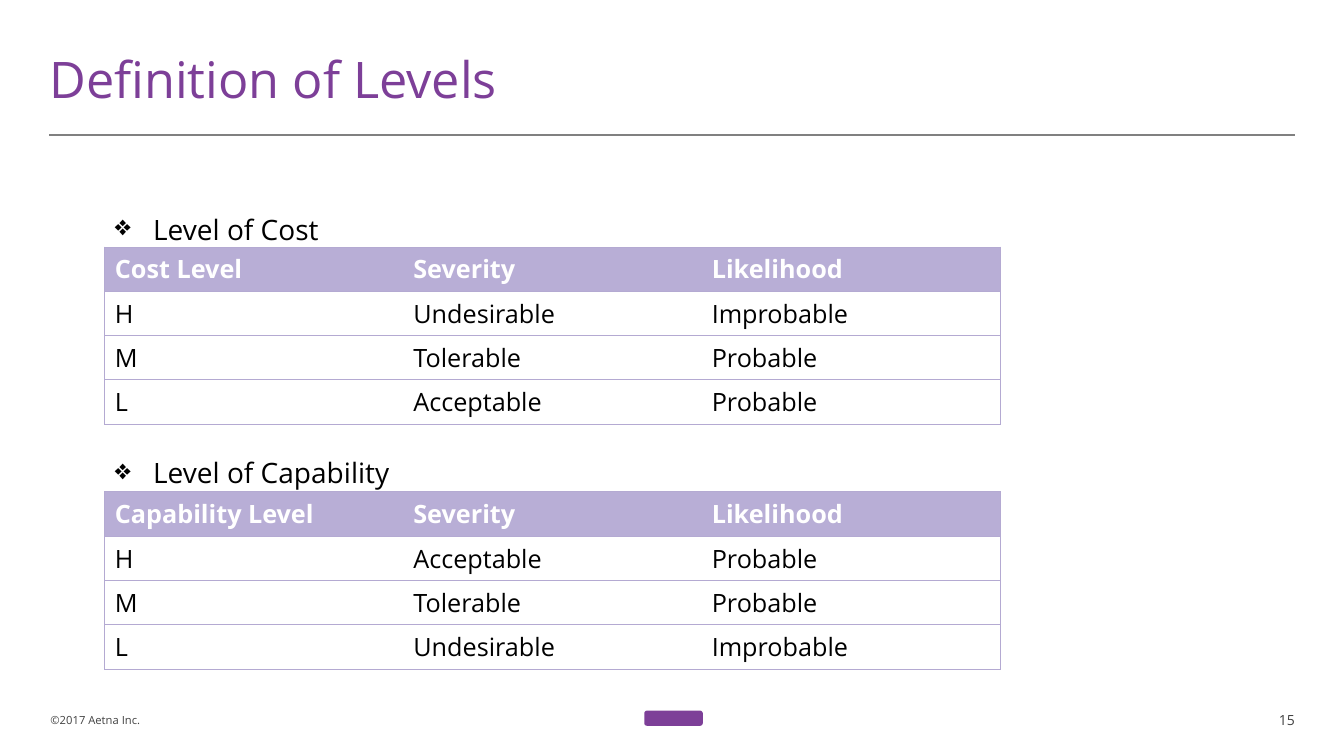
from lxml.etree import SubElement
from pptx import Presentation
from pptx.dml.color import RGBColor
from pptx.enum.shapes import MSO_CONNECTOR, MSO_SHAPE
from pptx.enum.text import MSO_ANCHOR, PP_ALIGN
from pptx.oxml.ns import qn
from pptx.util import Inches, Pt

TITLE = "Definition of Levels"
COPYRIGHT = "©2017 Aetna Inc."
PAGE_NUMBER = "15"
# Each section: heading, heading top, table top, table rows
SECTIONS = [
    ("Level of Cost", 2.07, 2.45, [
        ("Cost Level", "Severity", "Likelihood"),
        ("H", "Undesirable", "Improbable"),
        ("M", "Tolerable", "Probable"),
        ("L", "Acceptable", "Probable"),
    ]),
    ("Level of Capability", 4.49, 4.88, [
        ("Capability Level", "Severity", "Likelihood"),
        ("H", "Acceptable", "Probable"),
        ("M", "Tolerable", "Probable"),
        ("L", "Undesirable", "Improbable"),
    ]),
]

FONT = "Open Sans"
COLORS = {"purple": "7D3F98", "lilac": "B4AAD2", "header": "B8AED6", "rule": "808080",
          "footer": "414141", "black": "000000", "white": "FFFFFF"}
SLIDE_WIDTH, SLIDE_HEIGHT = 13.33, 7.5
MARGIN = 0.49
TABLE_LEFT, COLUMN_WIDTH, ROW_HEIGHT = 1.04, 2.96, 0.44
FOOTER_TOP, FOOTER_HEIGHT = 7.02, 0.25


def color(name):
    return RGBColor.from_string(COLORS[name])


def style(para, size, color_name, bold=False):
    for span in para.runs:
        span.font.name = FONT
        span.font.size = Pt(size)
        span.font.bold = bold
        span.font.color.rgb = color(color_name)


def add_text(page, text, area, size, color_name, inset=0):
    box = page.shapes.add_textbox(*map(Inches, area))
    frame = box.text_frame
    frame.word_wrap = True
    frame.vertical_anchor = MSO_ANCHOR.MIDDLE
    frame.margin_left = frame.margin_right = Inches(inset)
    frame.margin_top = frame.margin_bottom = Inches(inset / 2)
    frame.text = text
    para = frame.paragraphs[0]
    style(para, size, color_name)
    return para


def add_bullet(para, character, indent):
    properties = para._p.get_or_add_pPr()
    properties.set("marL", str(Inches(indent)))
    properties.set("indent", str(-Inches(indent)))
    SubElement(properties, qn("a:buChar")).set("char", character)


def add_borders(cell, visible_sides):
    properties = cell._tc.get_or_add_tcPr()
    for side in "LRTB":
        line = SubElement(properties, qn(f"a:ln{side}"), w=str(Pt(0.75)))
        if side in visible_sides:
            fill = SubElement(line, qn("a:solidFill"))
            SubElement(fill, qn("a:srgbClr"), val=COLORS["lilac"])
        else:
            SubElement(line, qn("a:noFill"))


def add_level_table(page, top, rows):
    columns = len(rows[0])
    table = page.shapes.add_table(
        len(rows), columns, Inches(TABLE_LEFT), Inches(top),
        Inches(COLUMN_WIDTH * columns), Inches(ROW_HEIGHT * len(rows))).table
    table.horz_banding = False
    for r, row in enumerate(rows):
        for c, text in enumerate(row):
            cell = table.cell(r, c)
            cell.text = text
            cell.vertical_anchor = MSO_ANCHOR.MIDDLE
            sides = "TB" + ("L" if c == 0 else "") + ("R" if c == columns - 1 else "")
            add_borders(cell, sides)
            if r == 0:
                cell.fill.solid()
                cell.fill.fore_color.rgb = color("header")
            else:
                cell.fill.background()
            style(cell.text_frame.paragraphs[0], 18, "black" if r else "white", bold=r == 0)


def main():
    deck = Presentation()
    deck.slide_width, deck.slide_height = Inches(SLIDE_WIDTH), Inches(SLIDE_HEIGHT)
    page = deck.slides.add_slide(deck.slide_layouts[6])

    # Title and rule
    title = add_text(page, TITLE, (MARGIN, 0.42, 10.34, 0.8), 36, "purple")
    title.line_spacing = 0.9
    rule = page.shapes.add_connector(
        MSO_CONNECTOR.STRAIGHT, Inches(MARGIN), Inches(1.34),
        Inches(SLIDE_WIDTH - MARGIN), Inches(1.34))
    rule.line.color.rgb = color("rule")
    rule.line.width = Pt(1)
    SubElement(rule._element.spPr, qn("a:effectLst"))

    # Headings with their tables
    for heading, heading_top, table_top, rows in SECTIONS:
        add_level_table(page, table_top, rows)
        para = add_text(page, heading, (TABLE_LEFT, heading_top, 4.41, 0.4), 20, "black", 0.1)
        add_bullet(para, "❖", 0.38)

    # Footer
    add_text(page, COPYRIGHT, (0.5, FOOTER_TOP, 4.22, FOOTER_HEIGHT), 8, "footer")
    number = add_text(page, PAGE_NUMBER, (12.14, FOOTER_TOP, 0.8, FOOTER_HEIGHT),
                      10, "footer", 0.1)
    number.alignment = PP_ALIGN.RIGHT
    badge = page.shapes.add_shape(
        MSO_SHAPE.ROUNDED_RECTANGLE, Inches(6.39), Inches(7.05), Inches(0.58), Inches(0.15))
    badge.shadow.inherit = False
    badge.fill.solid()
    badge.fill.fore_color.rgb = color("purple")
    badge.line.fill.background()

    deck.save("out.pptx")


if __name__ == "__main__":
    main()
